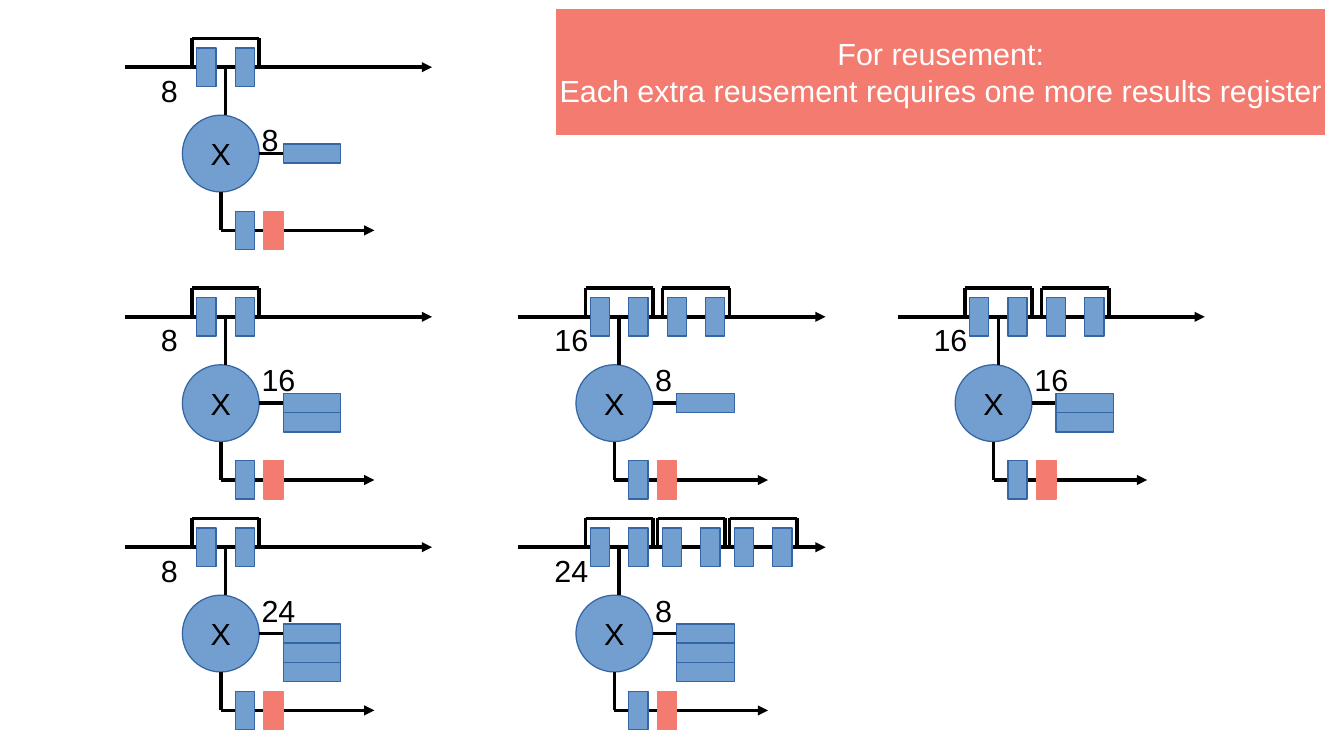
"""Draw multiplier units with growing input and result registers."""
import pptx
import pptx.chart.data
import pptx.dml.color
import pptx.enum.shapes
import pptx.enum.text
import pptx.oxml
import pptx.util
from lxml import etree

COLORS = {"blue": "729FCF", "edge": "3465A4", "red": "F37B70",
          "black": "000000", "white": "FFFFFF"}
TITLE = ["For reusement:",
         "Each extra reusement requires one more results register"]
UNITS = [
    {"at": (38, 24), "in": "8", "out": "8", "drop": 0, "pairs": 1, "gap": 16, "rows": 1},
    {"at": (38, 76), "in": "8", "out": "16", "drop": -2, "pairs": 1, "gap": 16, "rows": 2},
    {"at": (38, 124), "in": "8", "out": "24", "drop": -2, "pairs": 1, "gap": 15, "rows": 3},
    {"at": (120, 76), "in": "16", "out": "8", "drop": -2, "pairs": 2, "gap": 16, "rows": 1},
    {"at": (120, 124), "in": "24", "out": "8", "drop": -2, "pairs": 3, "gap": 15, "rows": 3},
    {"at": (199, 76), "in": "16", "out": "16", "drop": -2, "pairs": 2, "gap": 16, "rows": 2},
]
WIRES = [(9, -10, 9, 0), (8, 24, 8, 16), (8, 24, 11, 24), (16, 8, 21, 8)]
ARROWS = [(-12, -10, 52, -10), (14, 24, 40, 24)]
STEP = 72 / 25.4

KIND = pptx.enum.shapes.MSO_SHAPE
ALIGN = pptx.enum.text.PP_ALIGN


def grid(*steps):
    return [pptx.util.Pt(step * STEP) for step in steps]


def color(name):
    return pptx.dml.color.RGBColor.from_string(COLORS[name])


def write(frame, lines, tint, align):
    frame.word_wrap = False
    frame.text = "\n".join(lines)
    for para in frame.paragraphs:
        para.alignment = align
        para.font.size = pptx.util.Pt(18)
        para.font.name = "Arial"
        para.font.color.rgb = color(tint)


def block(kind, x, y, w, h, fill="blue", edge="edge", lines=(), tint="black"):
    shape = slide.shapes.add_shape(kind, *grid(x, y, w, h))
    shape.shadow.inherit = False
    shape.fill.solid()
    shape.fill.fore_color.rgb = color(fill)
    shape.line.color.rgb = color(edge)
    shape.line.width = pptx.util.Pt(0)
    if lines:
        shape.text_frame.vertical_anchor = pptx.enum.text.MSO_ANCHOR.MIDDLE
        write(shape.text_frame, lines, tint, ALIGN.CENTER)


def wire(x, y, ends, arrow=False):
    a, b, c, d = ends
    line = slide.shapes.add_connector(
        pptx.enum.shapes.MSO_CONNECTOR.STRAIGHT, *grid(x + a, y + b, x + c, y + d))
    line.line.color.rgb = color("black")
    line.line.width = pptx.util.Pt(0)
    props = line._element.spPr
    if arrow:
        tail = etree.SubElement(line.line._get_or_add_ln(), pptx.oxml.ns.qn("a:tailEnd"))
        tail.set("type", "triangle")
    etree.SubElement(props, pptx.oxml.ns.qn("a:effectLst"))


def label(x, y, text):
    box = slide.shapes.add_textbox(*grid(x, y, 5 + 3.55 * len(text), 9.7))
    write(box.text_frame, [text], "black", ALIGN.LEFT)
    box.text_frame.auto_size = pptx.enum.text.MSO_AUTO_SIZE.SHAPE_TO_FIT_TEXT


def draw(unit):
    x, y = unit["at"]
    block(KIND.OVAL, x, y, 16, 16, lines=["X"])
    for ends in ARROWS:
        wire(x, y, ends, arrow=True)
    for ends in WIRES:
        wire(x, y, ends)
    for pair in range(unit["pairs"]):
        left = x + pair * unit["gap"]
        for ends in [(2, -10, 2, -16), (16, -10, 16, -16), (2, -16, 16, -16)]:
            wire(left, y, ends)
        for dx in (3, 11):
            block(KIND.RECTANGLE, left + dx, y - 14, 4, 8)
    for row in range(unit["rows"]):
        block(KIND.RECTANGLE, x + 21, y + 6 + 4 * row, 12, 4)
    block(KIND.RECTANGLE, x + 11, y + 20, 4, 8)
    block(KIND.RECTANGLE, x + 17, y + 20, 4, 8, "red", "red")
    label(x - 7, y - 10.3, unit["in"])
    label(x + 14, y + unit["drop"], unit["out"])


deck = pptx.Presentation()
deck.slide_width, deck.slide_height = grid(280, 157.5)
slide = deck.slides.add_slide(deck.slide_layouts[6])
for unit in UNITS:
    draw(unit)
block(KIND.RECTANGLE, 116, 2, 160, 26, "red", "red", TITLE, "white")
deck.save("out.pptx")
